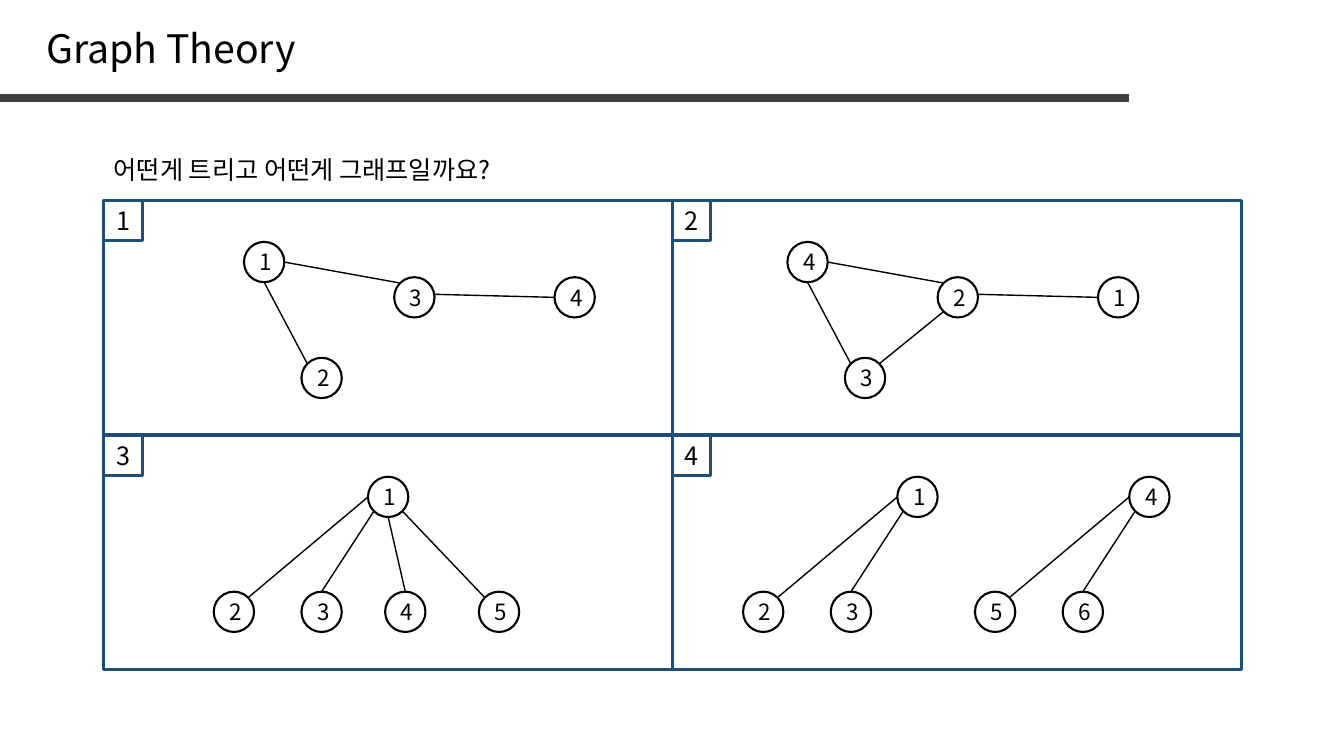
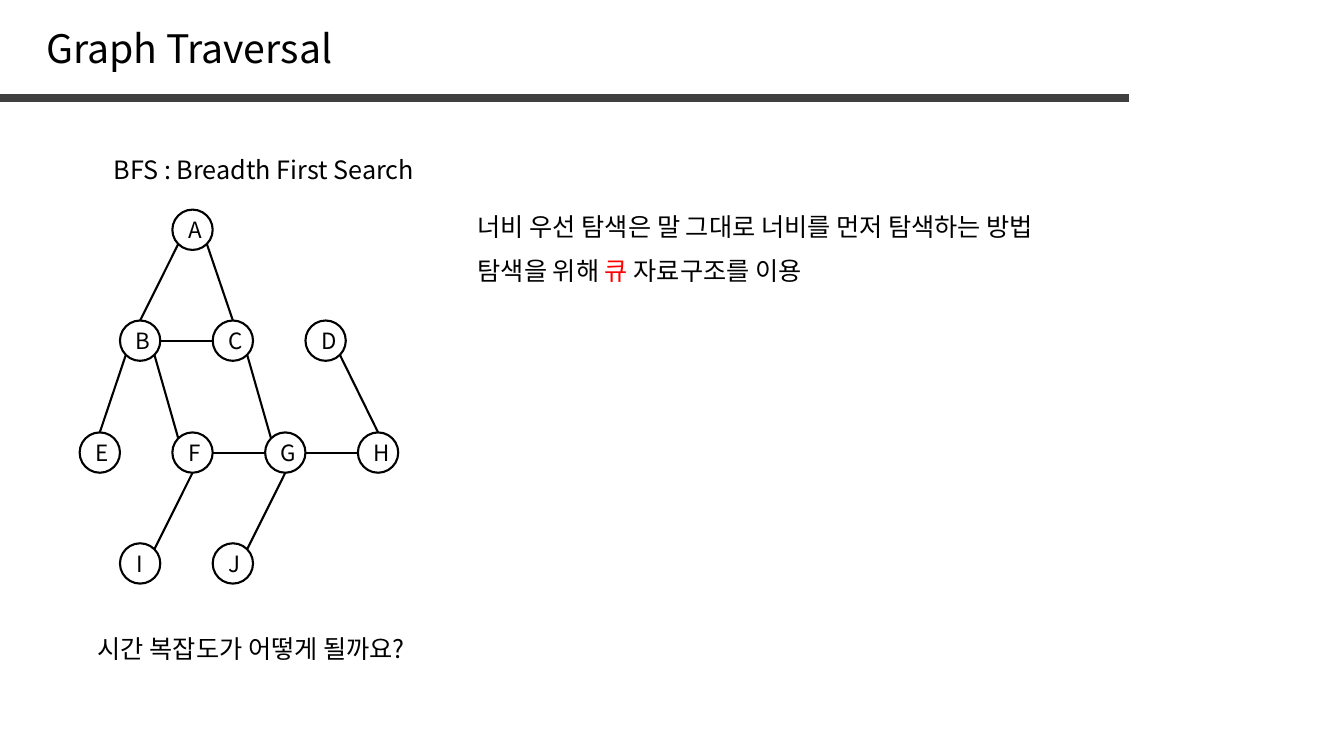
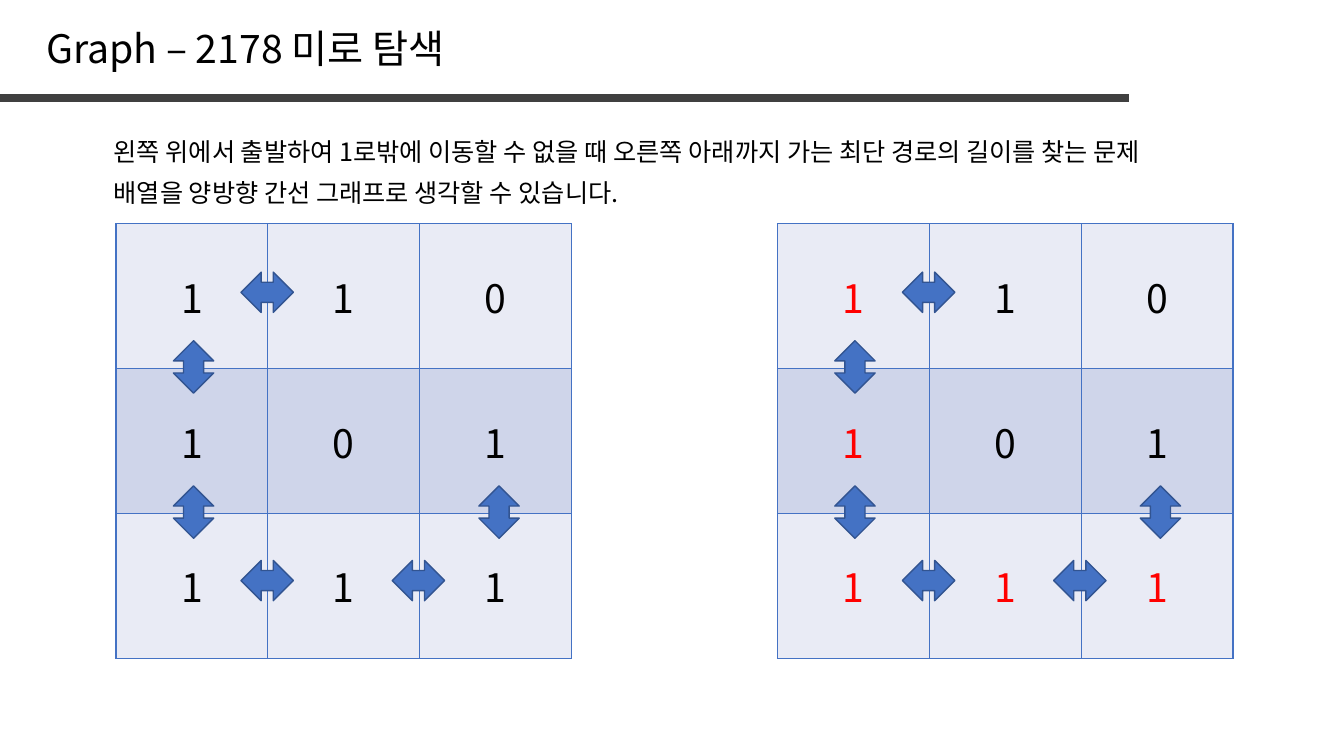
from lxml.etree import SubElement
from pptx import Presentation
from pptx.dml.color import RGBColor
from pptx.enum.shapes import MSO_CONNECTOR as Conn, MSO_SHAPE as Geo
from pptx.enum.text import MSO_ANCHOR as Anchor, MSO_AUTO_SIZE as Auto, PP_ALIGN as Align
from pptx.oxml import parse_xml
from pptx.oxml.ns import nsdecls, qn
from pptx.util import Pt

# Shared style; 100 px make one inch
PX = 9144
FONT = "Noto Sans CJK KR"
BLACK, RED, BAND, FRAME = "000000", "FF0000", "404040", "1F4E79"
BLUE, EDGE = "4472C4", "325491"
TINTS = ["E9EBF5", "CFD5EA"]
NODE = 40

# Slide 1: four panels with graphs
ASK = "어떤게 트리고 어떤게 그래프일까요?"
PANEL = (103, 199, 564, 232)
BENT = {"A": (0, 0), "B": (149, 35), "C": (57, 115), "D": (308, 35)}
FAN = {"A": (0, 0), "B": (-153, 114), "C": (-66, 114), "D": (17, 114), "E": (110, 114)}
BENDS = ["A E B NW", "A S C NW", "B ENE D W"]
RAYS = ["B NE A W", "C N A SW", "D N A S", "E NW A SE"]
GRAPHS = [
    (242, 240, BENT, "1324", BENDS),
    (781, 240, BENT, "4231", BENDS + ["C NE B SW"]),
    (365, 473, FAN, "12345", RAYS),
    (890, 473, FAN, "123", RAYS[:2]),
    (1120, 473, FAN, "456", RAYS[:2]),
]

# Slide 2: levels of the search graph, with notes (red between bars)
LEVELS = [("A", 171, 208), ("BCD", 119, 318), ("EFGH", 79, 429), ("IJ", 119, 539)]
STEP = 92
LINKS = ["B N A SW", "C N A SE", "B E C W", "E N B SW", "F NW B SE", "J NE G S",
         "F E G W", "C SE G NW", "G E H W", "D SE H N", "I NE F S"]
NOTES = [
    ("BFS : Breadth First Search", 103, 148, 934),
    ("시간 복잡도가 어떻게 될까요?", 87, 623, 560),
    ("너비 우선 탐색은 말 그대로 너비를 먼저 탐색하는 방법", 464, 205, 730),
    ("탐색을 위해 |큐| 자료구조를 이용", 464, 248, 730),
]

# Slide 3: the maze, before and after the walk
RULES = [
    ("왼쪽 위에서 출발하여 1로밖에 이동할 수 없을 때 오른쪽 아래까지 가는 최단 경로의 길이를 찾는 문제", 130),
    ("배열을 양방향 간선 그래프로 생각할 수 있습니다.", 171),
]
MAZE = ["110", "101", "111"]
WALK = [(0, 0), (1, 0), (2, 0), (2, 1), (2, 2)]
MAZES = [(115, []), (771, WALK)]
TOP, WIDE, HIGH = 222, 452, 431
MOVES = [(124, 48, 0), (51, 122, 270), (51, 266, 270),
         (124, 334, 0), (274, 334, 0), (354, 266, 270)]

# Places on a node's rim, in radii from its centre
SITES = {"N": (0, -1), "S": (0, 1), "E": (1, 0), "W": (-1, 0),
         "NE": (0.71, -0.71), "NW": (-0.71, -0.71), "SE": (0.71, 0.71),
         "SW": (-0.71, 0.71), "ENE": (0.99, -0.15)}


def px(*vals):
    return [round(v * PX) for v in vals]


def hue(code):
    return RGBColor.from_string(code)


def write(frame, text, size, align=Align.LEFT, color=BLACK):
    para = frame.paragraphs[0]
    para.alignment = align
    for i, part in enumerate(text.split("|")):
        run = para.add_run()
        run.text = part
        run.font.size, run.font.name = Pt(size), FONT
        run.font.color.rgb = hue(RED if i % 2 else color)
        SubElement(run.font._element, qn("a:ea"), typeface=FONT)


def label(slide, text, x, y, wide, high=40, size=18, wrap=True):
    frame = slide.shapes.add_textbox(*px(x, y, wide, high)).text_frame
    frame.word_wrap = wrap
    frame.auto_size = Auto.SHAPE_TO_FIT_TEXT
    write(frame, text, size)


def shape(slide, kind, box, color, weight, fill=None):
    item = slide.shapes.add_shape(kind, *px(*box))
    item.shadow.inherit = False
    if fill:
        item.fill.solid()
        item.fill.fore_color.rgb = hue(fill)
    else:
        item.fill.background()
    item.line.color.rgb, item.line.width = hue(color), Pt(weight)
    return item


def line(slide, start, end, color, weight):
    item = slide.shapes.add_connector(Conn.STRAIGHT, *px(*start, *end))
    item.line.color.rgb, item.line.width = hue(color), Pt(weight)
    SubElement(item._element.spPr, qn("a:effectLst"))


def graph(slide, x, y, spots, names, links, weight):
    for name, (dx, dy) in zip(names, spots.values()):
        node = shape(slide, Geo.OVAL, (x + dx, y + dy, NODE, NODE), BLACK, 1.5)
        node.text_frame.vertical_anchor = Anchor.MIDDLE
        write(node.text_frame, name, 16, Align.CENTER)

    def rim(key, site):
        dx, dy = spots[key]
        sx, sy = SITES[site]
        half = NODE / 2
        return x + dx + half * (1 + sx), y + dy + half * (1 + sy)

    for link in links:
        a, out, b, into = link.split()
        line(slide, rim(a, out), rim(b, into), BLACK, weight)


def maze(slide, x, walk):
    table = slide.shapes.add_table(3, 3, *px(x, TOP, WIDE, HIGH)).table
    table.first_row = table.horz_banding = False
    for i in range(3):
        table.columns[i].width, table.rows[i].height = px(WIDE / 3, HIGH / 3)
    for r, row in enumerate(MAZE):
        for c, digit in enumerate(row):
            cell = table.cell(r, c)
            cell.fill.solid()
            cell.fill.fore_color.rgb = hue(TINTS[r % 2])
            cell.vertical_anchor = Anchor.MIDDLE
            write(cell.text_frame, digit, 28, Align.CENTER, RED if (r, c) in walk else BLACK)
            for i, side in enumerate("LRTB"):
                cell._tc.get_or_add_tcPr().insert(i, parse_xml(
                    f'<a:ln{side} {nsdecls("a")} w="12700"><a:solidFill>'
                    f'<a:srgbClr val="{BLUE}"/></a:solidFill></a:ln{side}>'))
    for dx, dy, turn in MOVES:
        arrow = shape(slide, Geo.LEFT_RIGHT_ARROW, (x + dx, TOP + dy, 52, 40), EDGE, 1, BLUE)
        arrow.rotation = turn


def start(deck, title, wide):
    slide = deck.slides.add_slide(deck.slide_layouts[6])
    line(slide, (0, 97), (1120, 97), BAND, 6)
    label(slide, title, 36, 19, wide, 57, 28, False)
    return slide


def theory(deck):
    slide = start(deck, "Graph Theory", 269)
    label(slide, ASK, 103, 148, 934)
    x, y, wide, high = PANEL
    for i in range(4):
        left, top = x + i % 2 * wide, y + i // 2 * (high + 1)
        shape(slide, Geo.RECTANGLE, (left, top, wide, high), FRAME, 2.25)
        tag = shape(slide, Geo.RECTANGLE, (left, top, 38, 40), FRAME, 2.25)
        tag.text_frame.vertical_anchor = Anchor.TOP
        write(tag.text_frame, str(i + 1), 18, Align.CENTER)
    for item in GRAPHS:
        graph(slide, *item, 1)


def search(deck):
    slide = start(deck, "Graph Traversal", 310)
    spots = {name: (x + i * STEP, y) for row, x, y in LEVELS for i, name in enumerate(row)}
    graph(slide, 0, 0, spots, spots, LINKS, 1.5)
    for note in NOTES:
        label(slide, *note)


def puzzle(deck):
    slide = start(deck, "Graph – 2178 미로 탐색", 426)
    for text, y in RULES:
        label(slide, text, 103, y, 1120)
    for x, walk in MAZES:
        maze(slide, x, walk)


def main():
    deck = Presentation()
    deck.slide_width, deck.slide_height = px(1333, 750)
    for build in (theory, search, puzzle):
        build(deck)
    deck.save("out.pptx")


if __name__ == "__main__":
    main()
